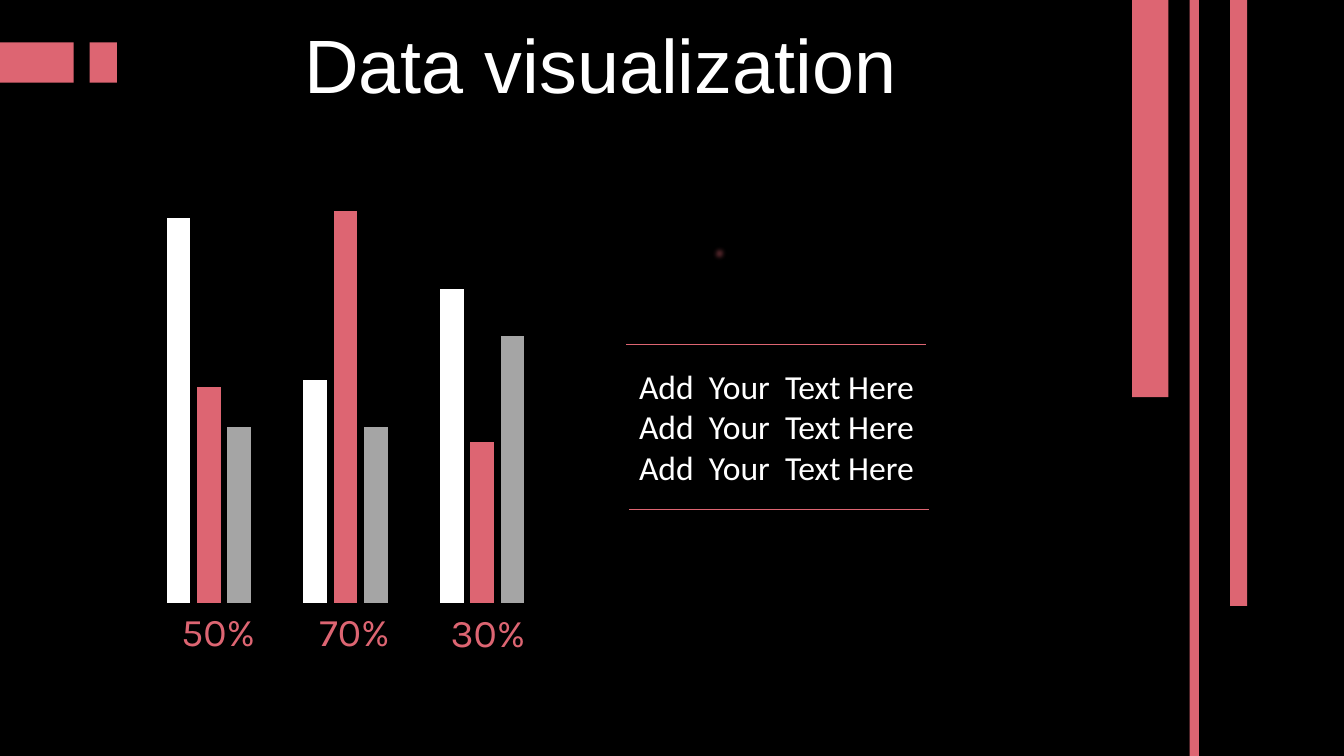
from dataclasses import dataclass

from lxml import etree
from pptx import Presentation
from pptx.chart.data import CategoryChartData
from pptx.dml.color import RGBColor
from pptx.enum.chart import XL_CHART_TYPE as ChartType
from pptx.enum.shapes import MSO_CONNECTOR as Connector, MSO_SHAPE as Shape
from pptx.enum.text import MSO_AUTO_SIZE as AutoSize, PP_ALIGN as Align
from pptx.oxml import parse_xml
from pptx.oxml.ns import nsdecls, qn
from pptx.util import Inches, Pt


@dataclass(frozen=True)
class Theme:
    black: RGBColor = RGBColor(0x00, 0x00, 0x00)
    white: RGBColor = RGBColor(0xFF, 0xFF, 0xFF)
    rose: RGBColor = RGBColor(0xDD, 0x65, 0x72)
    gray: RGBColor = RGBColor(0xA5, 0xA5, 0xA5)
    title_font: str = "Arial"
    body_font: str = "Calibri"
    label_font: str = "Karla"
    title_size: int = 54
    label_size: int = 28
    body_size: int = 24
    chart_size: int = 10


THEME = Theme()


def add_text(page, lines, area, font, size, color, align=Align.LEFT):
    box = page.shapes.add_textbox(*map(Inches, area))
    frame = box.text_frame
    frame.word_wrap = False
    frame.auto_size = AutoSize.SHAPE_TO_FIT_TEXT
    for index, line in enumerate(lines):
        para = frame.paragraphs[0] if index == 0 else frame.add_paragraph()
        para.alignment = align
        span = para.add_run()
        span.text = line
        span.font.name = font
        span.font.size = Pt(size)
        span.font.color.rgb = color


def add_bar(page, area):
    bar = page.shapes.add_shape(Shape.RECTANGLE, *map(Inches, area))
    bar.shadow.inherit = False
    bar.fill.solid()
    bar.fill.fore_color.rgb = THEME.rose
    bar.line.fill.background()
    return bar


def add_glow_dot(page, area):
    """Add a small tilted square whose edges fade into a dot."""
    dot = add_bar(page, area)
    dot.rotation = 20.6
    effects = dot._element.spPr.find(qn("a:effectLst"))
    etree.SubElement(effects, qn("a:softEdge"), rad=str(Pt(5)))


def add_rule(page, left, top, width):
    rule = page.shapes.add_connector(
        Connector.STRAIGHT, *map(Inches, (left, top, left + width, top)))
    rule.line.color.rgb = THEME.rose
    rule.line.width = Pt(0.5)
    etree.SubElement(rule._element.spPr, qn("a:effectLst"))


def place_plot(chart, left, top, width, height):
    """Fix the inner plot area, in fractions of the chart."""
    plot_area = chart._chartSpace.chart.plotArea
    for layout in plot_area.findall(qn("c:layout")):
        plot_area.remove(layout)
    plot_area.insert(0, parse_xml(
        f'<c:layout {nsdecls("c")}><c:manualLayout>'
        '<c:layoutTarget val="inner"/>'
        '<c:xMode val="edge"/><c:yMode val="edge"/>'
        f'<c:x val="{left}"/><c:y val="{top}"/>'
        f'<c:w val="{width}"/><c:h val="{height}"/>'
        '</c:manualLayout></c:layout>'))


def add_column_chart(page, area, series_rows):
    data = CategoryChartData()
    data.categories = ["1", "2", "3", ""]
    for number, (values, _) in enumerate(series_rows, 1):
        data.add_series(f"Series {number}", (*values, None))
    frame = page.shapes.add_chart(
        ChartType.COLUMN_CLUSTERED, *map(Inches, area), data)
    chart = frame.chart
    chart.has_legend = False
    chart.has_title = False
    chart.font.name = THEME.body_font
    chart.font.size = Pt(THEME.chart_size)
    chart.font.color.rgb = THEME.black
    chart.value_axis.minimum_scale = 0
    chart.value_axis.maximum_scale = 100
    chart.value_axis.has_major_gridlines = False
    chart.value_axis.visible = False
    chart.category_axis.visible = False
    plot = chart.plots[0]
    plot.vary_by_categories = False
    plot.gap_width = 219
    plot.overlap = -27
    for series, (_, color) in zip(plot.series, series_rows):
        series.format.fill.solid()
        series.format.fill.fore_color.rgb = color
    place_plot(chart, 0.02, 0.134, 0.96, 0.844)


def main():
    deck = Presentation()
    deck.slide_width, deck.slide_height = Inches(13.33), Inches(7.5)
    page = deck.slides.add_slide(deck.slide_layouts[6])
    page.background.fill.solid()
    page.background.fill.fore_color.rgb = THEME.black

    add_text(page, ["Data visualization"], (1.27, 0.13, 9.37, 1.01),
             THEME.title_font, THEME.title_size, THEME.white, Align.CENTER)
    add_column_chart(page, (1.28, 1.47, 5.65, 4.62), [
        ((98, 57, 80), THEME.white),
        ((55, 100, 41), THEME.rose),
        ((45, 45, 68), THEME.gray),
    ])
    add_text(page, ["Add  Your  Text Here"] * 3, (6.24, 3.58, 2.96, 1.62),
             THEME.body_font, THEME.body_size, THEME.white)
    add_glow_dot(page, (7.01, 2.38, 0.26, 0.27))

    for left, width, height in ((12.2, 0.17, 6.01), (11.23, 0.36, 3.94),
                                (11.8, 0.09, 7.5)):
        add_bar(page, (left, 0, width, height))
    for left, top in ((6.21, 3.42), (6.24, 5.05)):
        add_rule(page, left, top, 2.97)
    for label, left, top in (("50%", 1.7, 5.98), ("70%", 3.07, 5.98),
                             ("30%", 4.37, 5.99)):
        add_text(page, [label], (left, top, 0.96, 0.57),
                 THEME.label_font, THEME.label_size, THEME.rose)
    for left, width in ((0, 0.73), (0.89, 0.27)):
        add_bar(page, (left, 0.42, width, 0.4))

    deck.save("out.pptx")


if __name__ == "__main__":
    main()
